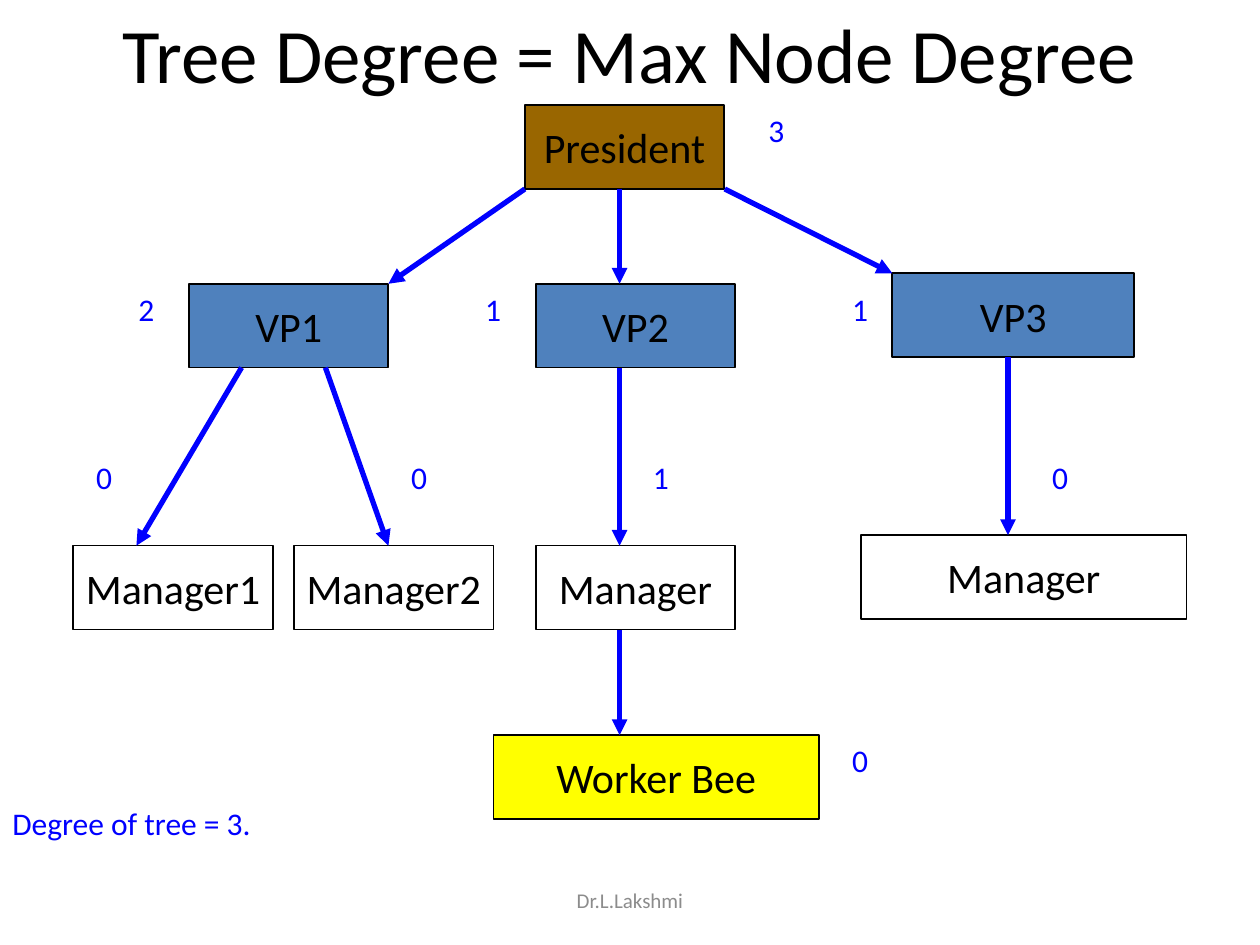
from lxml import etree
from pptx import Presentation
from pptx.dml.color import RGBColor
from pptx.enum.shapes import MSO_CONNECTOR, MSO_SHAPE
from pptx.enum.text import MSO_ANCHOR, PP_ALIGN
from pptx.oxml.ns import qn
from pptx.util import Cm, Pt

RECTANGLE = MSO_SHAPE.RECTANGLE
STRAIGHT = MSO_CONNECTOR.STRAIGHT
TOP, MIDDLE = MSO_ANCHOR.TOP, MSO_ANCHOR.MIDDLE
LEFT, CENTER = PP_ALIGN.LEFT, PP_ALIGN.CENTER

FONT = "Calibri"
COLORS = {
    "black": "000000", "blue": "0000FF", "gray": "8C8C8C",
    "brown": "996600", "steel": "4F81BD", "white": "FFFFFF", "yellow": "FFFF00",
}

# Lengths in cm
NODE_HEIGHT = 1.69
NARROW, MEDIUM, WIDE = 4.02, 4.87, 6.56
PRESIDENT_TOP, VP_TOP, MANAGER_TOP, WORKER_TOP = 2.12, 5.72, 11, 14.82
RAISE = 0.21  # the right branch sits slightly higher
DEGREE_TOP = 9.1  # degrees of the managers
TRUNK = 12.49  # x of the vertical arrows in the middle

# key: text, left, top, width, fill
NODES = {
    "president": ("President", 10.58, PRESIDENT_TOP, NARROW, "brown"),
    "vp1": ("VP1", 3.81, VP_TOP, NARROW, "steel"),
    "vp2": ("VP2", 10.8, VP_TOP, NARROW, "steel"),
    "vp3": ("VP3", 17.99, VP_TOP - RAISE, MEDIUM, "steel"),
    "manager1": ("Manager1", 1.48, MANAGER_TOP, NARROW, "white"),
    "manager2": ("Manager2", 5.93, MANAGER_TOP, NARROW, "white"),
    "manager3": ("Manager", 10.8, MANAGER_TOP, NARROW, "white"),
    "manager4": ("Manager", 17.36, MANAGER_TOP - RAISE, WIDE, "white"),
    "worker": ("Worker Bee", 9.95, WORKER_TOP, WIDE, "yellow"),
}

# parent, x on its bottom edge, child, x on its top edge
ARROWS = [
    ("president", TRUNK, "vp2", TRUNK),
    ("president", 10.58, "vp1", 7.83),
    ("president", 14.61, "vp3", 17.99),
    ("vp1", 4.87, "manager1", 2.75),
    ("vp1", 6.56, "manager2", 7.83),
    ("vp2", TRUNK, "manager3", TRUNK),
    ("vp3", 20.32, "manager4", 20.32),
    ("manager3", TRUNK, "worker", TRUNK),
]

# degree, left, top
DEGREES = [
    ("3", 15.24, PRESIDENT_TOP),
    ("2", 2.54, VP_TOP), ("1", 9.53, VP_TOP), ("1", 16.93, VP_TOP),
    ("0", 1.69, DEGREE_TOP), ("0", 8.04, DEGREE_TOP),
    ("1", 12.91, DEGREE_TOP), ("0", 20.96, DEGREE_TOP),
    ("0", 16.93, WORKER_TOP),
]

# text, (left, top, width, height), size, color, alignment, anchor
CAPTIONS = [
    ("Tree Degree = Max Node Degree", (0, 0, 25.4, 2.12), 44, "black", CENTER, MIDDLE),
    ("Degree of tree = 3.", (0, 16.09, 9.95, 1.6), 18, "blue", LEFT, TOP),
    ("Dr.L.Lakshmi", (8.68, 17.65, 8.04, 1.01), 12, "gray", CENTER, MIDDLE),
]


def rgb(name):
    return RGBColor.from_string(COLORS[name])


def write(shape, text, size, color, alignment, anchor, wrap):
    frame = shape.text_frame
    frame.text = text
    frame.word_wrap = wrap
    frame.vertical_anchor = anchor
    paragraph = frame.paragraphs[0]
    paragraph.alignment = alignment
    font = paragraph.runs[0].font
    font.name, font.size = FONT, Pt(size)
    font.color.rgb = rgb(color)


def add_caption(slide, text, box, size, color, alignment, anchor):
    shape = slide.shapes.add_textbox(*map(Cm, box))
    write(shape, text, size, color, alignment, anchor, True)


def add_node(slide, text, left, top, width, fill):
    shape = slide.shapes.add_shape(
        RECTANGLE, Cm(left), Cm(top), Cm(width), Cm(NODE_HEIGHT))
    shape.shadow.inherit = False
    shape.fill.solid()
    shape.fill.fore_color.rgb = rgb(fill)
    shape.line.color.rgb = rgb("black")
    shape.line.width = Pt(1)
    write(shape, text, 24, "black", CENTER, MIDDLE, False)


def add_arrow(slide, parent, start_x, child, end_x):
    start_y = NODES[parent][2] + NODE_HEIGHT
    end_y = NODES[child][2]
    arrow = slide.shapes.add_connector(
        STRAIGHT, Cm(start_x), Cm(start_y), Cm(end_x), Cm(end_y))
    arrow.line.color.rgb = rgb("blue")
    arrow.line.width = Pt(3)
    etree.SubElement(arrow.line._get_or_add_ln(), qn("a:tailEnd"), type="triangle")
    etree.SubElement(arrow._element.spPr, qn("a:effectLst"))


def main():
    presentation = Presentation()
    presentation.slide_width, presentation.slide_height = Cm(25.4), Cm(19.05)
    slide = presentation.slides.add_slide(presentation.slide_layouts[6])
    for caption in CAPTIONS:
        add_caption(slide, *caption)
    for node in NODES.values():
        add_node(slide, *node)
    for arrow in ARROWS:
        add_arrow(slide, *arrow)
    for degree, left, top in DEGREES:
        add_caption(slide, degree, (left, top, 1.27, 1.6), 18, "blue", LEFT, TOP)
    presentation.save("out.pptx")


if __name__ == "__main__":
    main()
